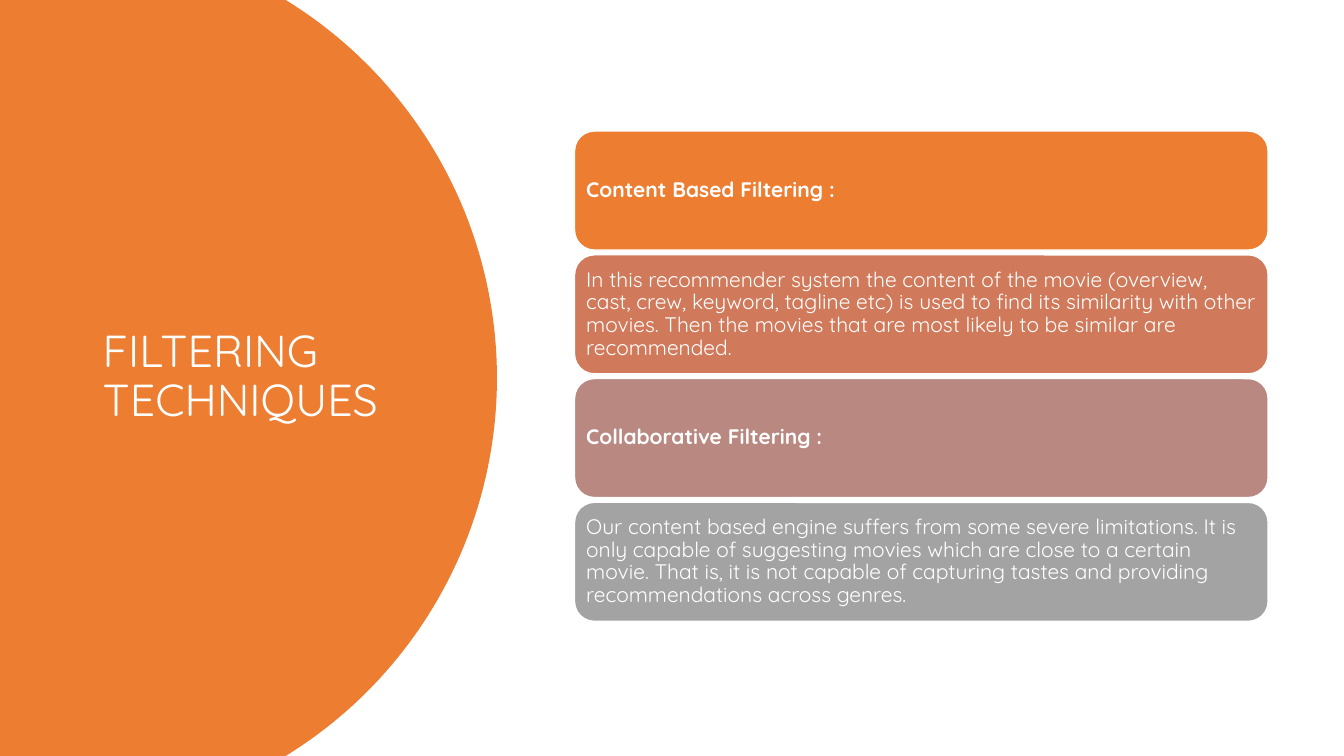
from math import asin, cos, sin

from pptx import Presentation
from pptx.dml.color import RGBColor
from pptx.enum.shapes import MSO_SHAPE as Preset
from pptx.enum.text import MSO_ANCHOR as Anchor, PP_ALIGN as Align
from pptx.util import Pt

SLIDE_W, SLIDE_H = 960, 540
FONT = "Quicksand"
ORANGE, WHITE = "ED7D31", "FFFFFF"

# Text, card colour, bold
CARDS = [
    ("Content Based Filtering :", ORANGE, True),
    ("In this recommender system the content of the movie (overview, cast, "
     "crew, keyword, tagline etc) is used to find its similarity with other "
     "movies. Then the movies that are most likely to be similar are "
     "recommended.", "D17A5B", False),
    ("Collaborative Filtering :", "B88881", True),
    ("Our content based engine suffers from some severe limitations. It is "
     "only capable of suggesting movies which are close to a certain movie. "
     "That is, it is not capable of capturing tastes and providing "
     "recommendations across genres.", "A3A3A3", False),
]


def colour(hex_string):
    return RGBColor.from_string(hex_string)


def paint(shape, hex_string):
    shape.shadow.inherit = False
    shape.fill.solid()
    shape.fill.fore_color.rgb = colour(hex_string)


def write(frame, text, size, bold=False):
    frame.word_wrap = True
    frame.vertical_anchor = Anchor.MIDDLE
    paragraph = frame.paragraphs[0]
    paragraph.alignment = Align.LEFT
    paragraph.line_spacing = 0.9
    run = paragraph.add_run()
    run.text = text
    run.font.name = FONT
    run.font.size = Pt(size)
    run.font.bold = bold
    run.font.color.rgb = colour(WHITE)


def add_disc(slide, left, top, width, height, radius=317, steps=90):
    """Draw a box whose right side is an arc as tall as the box."""
    centre_x, centre_y = left + width - radius, top + height / 2
    half_angle = asin(height / 2 / radius)
    angles = [half_angle * (2 * i / steps - 1) for i in range(steps + 1)]
    arc = [(Pt(centre_x + radius * cos(a)), Pt(centre_y + radius * sin(a)))
           for a in angles]
    outline = slide.shapes.build_freeform(Pt(left), Pt(top))
    outline.add_line_segments(arc + [(Pt(left), Pt(top + height))], close=True)
    disc = outline.convert_to_shape()
    paint(disc, ORANGE)
    disc.line.fill.background()


def add_title(slide, left, top, width, height):
    title = slide.shapes.title
    title.left, title.top = Pt(left), Pt(top)
    title.width, title.height = Pt(width), Pt(height)
    write(title.text_frame, "FILTERING TECHNIQUES", 32)


def add_cards(slide, left, top, width, height, gap=3.4, inset=4.2):
    """Stack the cards evenly down the box."""
    card_height = (height - gap * (len(CARDS) - 1)) / len(CARDS)
    for row, (text, fill, bold) in enumerate(CARDS):
        card = slide.shapes.add_shape(
            Preset.ROUNDED_RECTANGLE, Pt(left),
            Pt(top + row * (card_height + gap)), Pt(width), Pt(card_height))
        paint(card, fill)
        card.line.color.rgb = colour(WHITE)
        card.line.width = Pt(1)
        frame = card.text_frame
        frame.margin_left = frame.margin_right = Pt(inset)
        frame.margin_top = frame.margin_bottom = Pt(inset)
        write(frame, text, 15, bold)


def main():
    deck = Presentation()
    deck.slide_width, deck.slide_height = Pt(SLIDE_W), Pt(SLIDE_H)
    slide = deck.slides.add_slide(deck.slide_layouts[5])

    # Disc on the left, behind the title
    add_disc(slide, 0, 0, 355, SLIDE_H)
    title_element = slide.shapes.title.element
    slide.shapes.element.append(title_element)
    add_title(slide, 66.2, 50.4, 232.6, 438.5)

    # Technique cards on the right
    add_cards(slide, 410.4, 93.6, 495.4, 350.2)

    deck.save("out.pptx")


if __name__ == "__main__":
    main()
